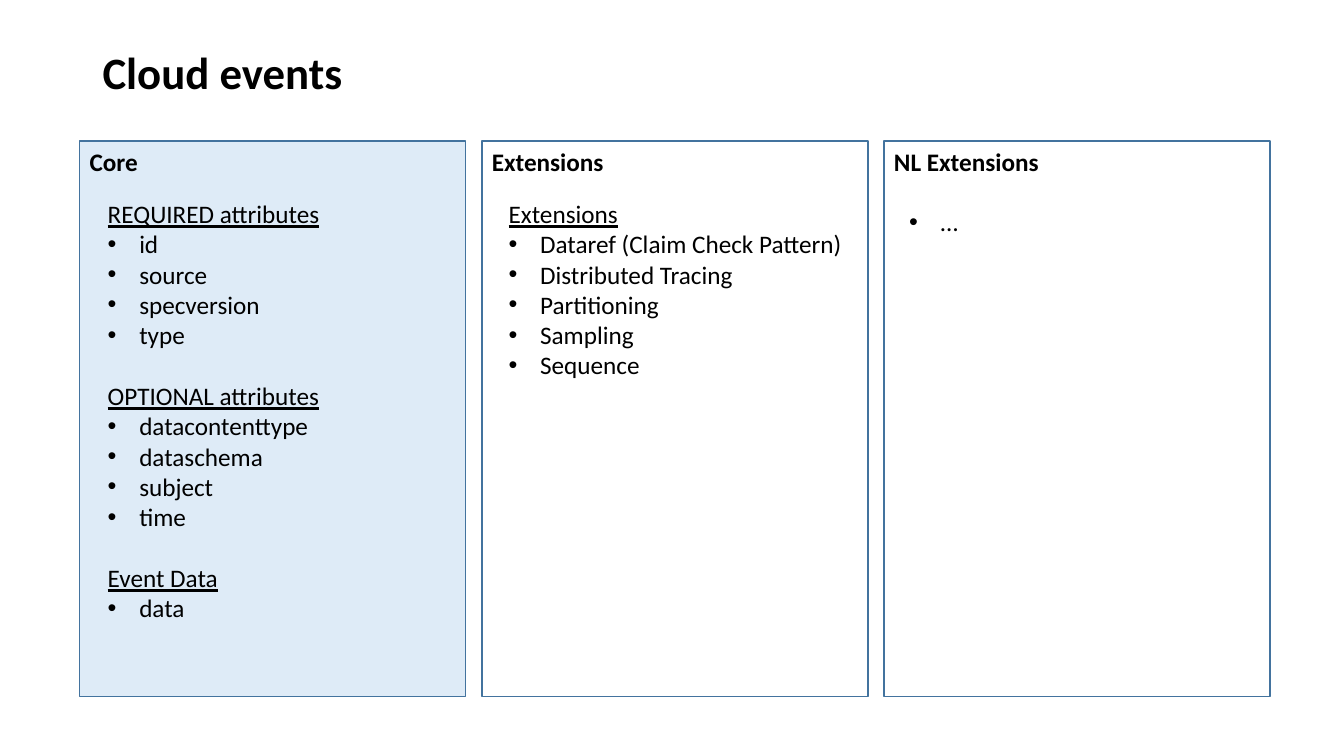
from dataclasses import dataclass

import pptx
import pptx.dml.color
import pptx.enum.shapes
import pptx.enum.text
import pptx.oxml
import pptx.oxml.ns
import pptx.shapes.base
import pptx.slide
import pptx.text.text
import pptx.util

Pt = pptx.util.Pt

COLORS = {"text": "000000", "border": "43739E", "core": "DEEBF7", "plain": "FFFFFF"}
FONT = "Calibri"
BODY_SIZE = 18
GROUP_GAP = 22
BULLET_INDENT = 22.5
COLUMN_LEFT, COLUMN_TOP, COLUMN_PITCH = 56.9, 100.8, 287.3
COLUMN_WIDTH, COLUMN_HEIGHT = 275.8, 396.7


@dataclass(frozen=True)
class Group:
    heading: str
    items: tuple[str, ...]


@dataclass(frozen=True)
class Column:
    title: str
    fill: str
    groups: tuple[Group, ...]
    list_offset: float
    list_top: float
    list_width: float
    list_height: float


COLUMNS = (
    Column("Core", "core", (
        Group("REQUIRED attributes", ("id", "source", "specversion", "type")),
        Group("OPTIONAL attributes", ("datacontenttype", "dataschema", "subject", "time")),
        Group("Event Data", ("data",)),
    ), 13, 138.2, 167.8, 312.5),
    Column("Extensions", "plain", (
        Group("Extensions", ("Dataref (Claim Check Pattern)", "Distributed Tracing",
                             "Partitioning", "Sampling", "Sequence")),
    ), 12, 138.2, 255.6, 181.4),
    Column("NL Extensions", "plain", (Group("", ("…",)),), 10.8, 144, 49.7, 72.7),
)


def rgb(name: str) -> pptx.dml.color.RGBColor:
    return pptx.dml.color.RGBColor.from_string(COLORS[name])


def add_text(frame: pptx.text.text.TextFrame, text: str, *, size: float = BODY_SIZE,
             bold: bool = False, underline: bool = False, bullet: bool = False,
             space_before: float = 0, line_spacing: float = 1) -> None:
    """Fill the empty first paragraph, or append a new one."""
    paragraph = frame.paragraphs[0]
    if paragraph.runs:
        paragraph = frame.add_paragraph()
    paragraph.alignment = pptx.enum.text.PP_ALIGN.LEFT
    paragraph.space_before = Pt(space_before)
    paragraph.line_spacing = line_spacing
    run = paragraph.add_run()
    run.text = text
    run.font.name = FONT
    run.font.size = Pt(size)
    run.font.bold = bold
    run.font.underline = underline
    run.font.color.rgb = rgb("text")
    if bullet:
        properties = paragraph._p.get_or_add_pPr()
        properties.set("marL", str(Pt(BULLET_INDENT)))
        properties.set("indent", str(-Pt(BULLET_INDENT)))
        namespace = pptx.oxml.ns.nsdecls("a")
        properties.append(pptx.oxml.parse_xml(f'<a:buFont {namespace} typeface="Arial"/>'))
        properties.append(pptx.oxml.parse_xml(f'<a:buChar {namespace} char="•"/>'))


def add_title(slide: pptx.slide.Slide, text: str) -> None:
    frame = slide.shapes.add_textbox(Pt(66.2), Pt(28.8), Pt(828), Pt(49.7)).text_frame
    frame.word_wrap = True
    frame.vertical_anchor = pptx.enum.text.MSO_ANCHOR.MIDDLE
    add_text(frame, text, size=32, bold=True, line_spacing=0.9)


def add_panel(slide: pptx.slide.Slide, column: Column, left: float) -> None:
    panel = slide.shapes.add_shape(
        pptx.enum.shapes.MSO_SHAPE.RECTANGLE,
        Pt(left), Pt(COLUMN_TOP), Pt(COLUMN_WIDTH), Pt(COLUMN_HEIGHT))
    panel.shadow.inherit = False
    panel.fill.solid()
    panel.fill.fore_color.rgb = rgb(column.fill)
    panel.line.color.rgb = rgb("border")
    panel.line.width = Pt(1)
    panel.text_frame.vertical_anchor = pptx.enum.text.MSO_ANCHOR.TOP
    add_text(panel.text_frame, column.title, bold=True)


def add_attribute_list(slide: pptx.slide.Slide, column: Column, left: float) -> None:
    frame = slide.shapes.add_textbox(
        Pt(left + column.list_offset), Pt(column.list_top),
        Pt(column.list_width), Pt(column.list_height)).text_frame
    frame.word_wrap = False
    frame.auto_size = pptx.enum.text.MSO_AUTO_SIZE.SHAPE_TO_FIT_TEXT
    for index, group in enumerate(column.groups):
        if group.heading:
            add_text(frame, group.heading, underline=True,
                     space_before=GROUP_GAP if index else 0)
        for item in group.items:
            add_text(frame, item, bullet=True)


def main() -> None:
    presentation = pptx.Presentation()
    presentation.slide_width, presentation.slide_height = Pt(960), Pt(540)
    slide = presentation.slides.add_slide(presentation.slide_layouts[6])
    add_title(slide, "Cloud events")
    for index, column in enumerate(COLUMNS):
        left = COLUMN_LEFT + index * COLUMN_PITCH
        add_panel(slide, column, left)
        add_attribute_list(slide, column, left)
    presentation.save("out.pptx")


if __name__ == "__main__":
    main()
